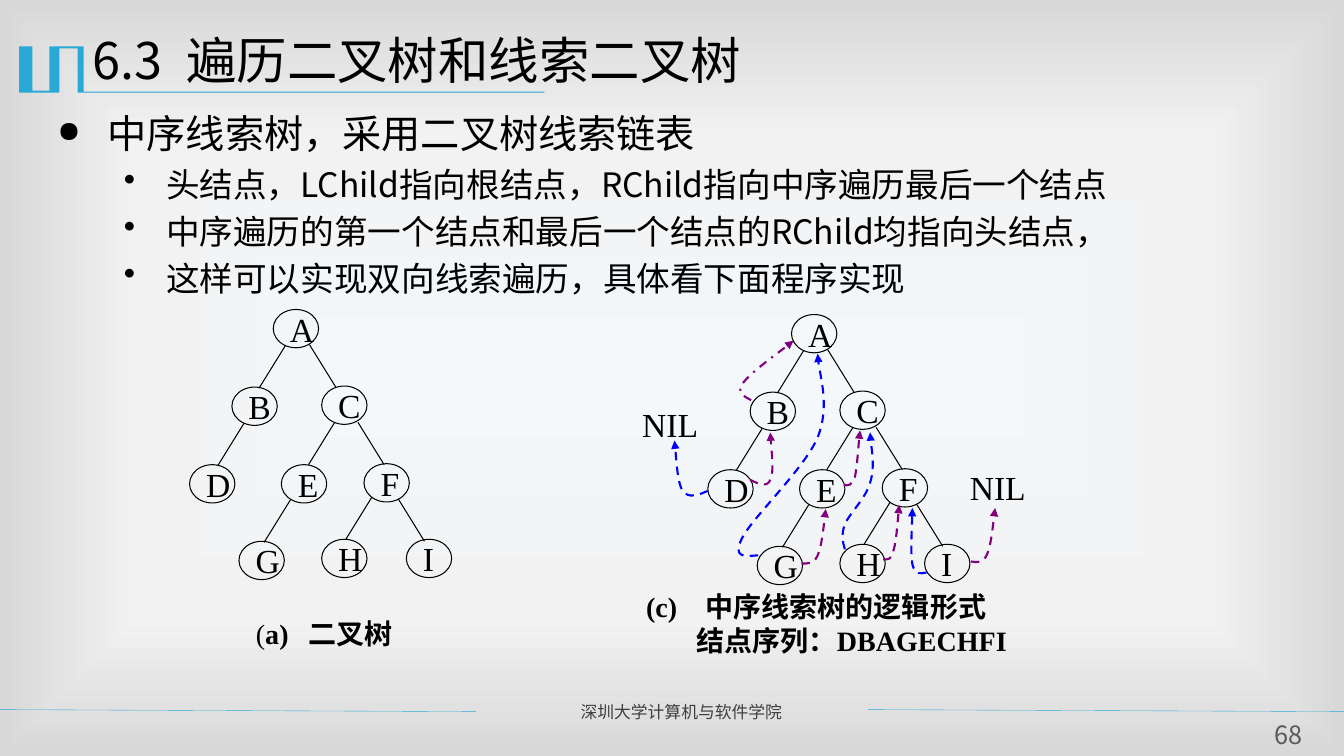
"""Build the slide on in-order threaded binary trees."""
from lxml import etree
from pptx import Presentation
from pptx import util as u
from pptx.dml.color import RGBColor
from pptx.enum import dml, shapes, text
from pptx.oxml import parse_xml
from pptx.oxml.ns import qn

PX = 9144
SANS, SERIF = "Noto Sans CJK SC", "Times New Roman"
BLACK, ACCENT, PURPLE, BLUE = "000000", "28A9D6", "800080", "0000FF"
DASH, DASH_DOT = dml.MSO_LINE.DASH, dml.MSO_LINE.DASH_DOT
ALIGN, ANCHOR = text.PP_ALIGN, text.MSO_ANCHOR

BACKDROP = [(0, "F4F8FB"), (63, "F2F2F2"), (100, "D8D8D8")]
EMBLEM = [(82, 46), (83, 46), (83, 91), (540, 91), (540, 92), (77, 92), (77, 48), (59, 48),
          (59, 92), (19, 92), (19, 46), (32, 46), (32, 90), (49, 90), (49, 46)]
FOOTER_RULES = [((0, 704), (472, 706)), ((861, 704), (1333, 706))]

TITLE = "6.3\t遍历二叉树和线索二叉树"
BODY = [
    ("●", 75, 28, 50, 50, "中序线索树，采用二叉树线索链表"),
    ("•", 100, 24, 108, 42, "头结点，LChild指向根结点，RChild指向中序遍历最后一个结点"),
    ("•", 100, 24, 108, 42, "中序遍历的第一个结点和最后一个结点的RChild均指向头结点，"),
    ("•", 100, 24, 108, 42, "这样可以实现双向线索遍历，具体看下面程序实现"),
]
FOOTER = "深圳大学计算机与软件学院"
PAGE_NUMBER = "68"

NODE_SIZE = (45, 38)
NODES = {"A": (271, 307), "B": (230, 384), "C": (319, 383), "D": (188, 461), "E": (279, 461),
         "F": (361, 460), "G": (237, 537), "H": (319, 535), "I": (403, 535)}
LEFT_EDGES = [(283, 343), (242, 420), (332, 419), (288, 496), (369, 493)]
RIGHT_EDGES = [(307, 342), (355, 419), (395, 495)]
EDGE_RUN, EDGE_DROP = 26, 42
TREE_OFFSETS = [(0, 0), (514, 5)]

NIL_PLACES = [(627, 401, 90, 39), (952, 464, 90, 39)]
THREADS = [
    (PURPLE, DASH_DOT, [(745, 397), (738, 393), (730, 390), (737, 380),
                        (744, 370), (779, 345), (787, 338)]),
    (PURPLE, DASH, [(744, 476), (752, 480), (761, 484), (764, 476),
                    (768, 468), (764, 437), (764, 429)]),
    (BLUE, DASH, [(752, 551), (739, 552), (726, 554), (736, 534), (745, 515),
                  (798, 465), (811, 434), (823, 404), (811, 365), (811, 351)]),
    (PURPLE, DASH, [(795, 559), (801, 559), (807, 560), (811, 551),
                    (815, 542), (818, 513), (819, 505)]),
    (PURPLE, DASH, [(837, 481), (841, 482), (845, 482), (848, 473),
                    (850, 464), (852, 435), (853, 427)]),
    (BLUE, DASH, [(838, 545), (836, 538), (834, 531), (838, 520), (843, 509),
                  (859, 494), (863, 479), (868, 463), (863, 437), (863, 429)]),
    (BLUE, DASH, [(702, 487), (693, 491), (683, 495), (677, 487),
                  (672, 479), (670, 445), (669, 437)]),
    (PURPLE, DASH, [(876, 555), (880, 555), (884, 556), (886, 547),
                    (889, 538), (891, 509), (892, 501)]),
    (BLUE, DASH, [(919, 568), (913, 569), (908, 571), (905, 560),
                  (903, 549), (905, 513), (905, 504)]),
    (PURPLE, DASH, [(963, 557), (969, 558), (975, 559), (979, 550),
                    (983, 541), (986, 511), (987, 504)]),
]


def color(value):
    """Turn a hex string into a colour."""
    return RGBColor.from_string(value)


def px(values):
    """Turn px lengths into EMU."""
    return [value * PX for value in values]


def assign(target, **values):
    """Set each named attribute on the target."""
    for name, value in values.items():
        setattr(target, name, value)


def stroke(shape, hue, width, dash=None):
    """Give a shape or connector its line."""
    shape.line.color.rgb = color(hue)
    assign(shape.line, width=u.Pt(width), dash_style=dash)


def add_line(page, start, end, hue, width):
    """Draw a straight line without a shadow."""
    line = page.shapes.add_connector(shapes.MSO_CONNECTOR.STRAIGHT, *px(start + end))
    stroke(line, hue, width)
    etree.SubElement(line.element.spPr, qn("a:effectLst"))


def add_outline(page, points, close):
    """Draw a freeform through the points."""
    builder = page.shapes.build_freeform(*points[0], scale=PX)
    builder.add_line_segments(points[1:], close=close)
    outline = builder.convert_to_shape()
    outline.shadow.inherit = False
    return outline


def add_thread(page, hue, dash, points):
    """Draw a dashed Bezier arrow."""
    thread = add_outline(page, points, False)
    thread.fill.background()
    stroke(thread, hue, 1.5, dash)
    segments = thread.element.xpath(".//a:lnTo")
    for first in range(0, len(segments), 3):
        curve = etree.SubElement(segments[first].getparent(), qn("a:cubicBezTo"))
        for segment in segments[first:first + 3]:
            curve.append(segment[0])
            segment.getparent().remove(segment)
    etree.SubElement(thread.element.xpath(".//a:ln")[0], qn("a:tailEnd"), type="triangle")


def write(para, words, size, face=SANS, hue=BLACK, bold=False, **layout):
    """Fill one paragraph with a single run."""
    assign(para, **layout)
    span = para.add_run()
    span.text = words
    assign(span.font, size=u.Pt(size), name=face, bold=bold)
    span.font.color.rgb = color(hue)
    etree.SubElement(span.font._element, qn("a:ea"), typeface=SANS)


def indent(para, margin, hanging=0, bullet=None, scale=100):
    """Set a paragraph's margin, hanging indent and bullet."""
    props = para._p.get_or_add_pPr()
    props.set("marL", str(margin * PX))
    props.set("indent", str(-hanging * PX))
    if bullet:
        etree.SubElement(props, qn("a:buSzPct"), val=str(scale * 1000))
        etree.SubElement(props, qn("a:buChar"), char=bullet)


def add_tab(para, place):
    """Set a left tab stop."""
    stops = etree.SubElement(para._p.get_or_add_pPr(), qn("a:tabLst"))
    etree.SubElement(stops, qn("a:tab"), pos=str(place * PX), algn="l")


def add_box(page, place, wrap=True, anchor=ANCHOR.MIDDLE, **insets):
    """Add a text box and return its text frame."""
    frame = page.shapes.add_textbox(*px(place)).text_frame
    assign(frame, word_wrap=wrap, vertical_anchor=anchor, **insets)
    return frame


def paint_backdrop(page):
    """Fill the background with a rectangular gradient."""
    stops = "".join(f'<a:gs pos="{at * 1000}"><a:srgbClr val="{hue}"/></a:gs>'
                    for at, hue in BACKDROP)
    page.element.cSld.insert(0, parse_xml(
        '<p:bg xmlns:p="http://schemas.openxmlformats.org/presentationml/2006/main" '
        'xmlns:a="http://schemas.openxmlformats.org/drawingml/2006/main"><p:bgPr>'
        f'<a:gradFill rotWithShape="1"><a:gsLst>{stops}</a:gsLst><a:path path="rect">'
        '<a:fillToRect l="50000" t="50000" r="50000" b="50000"/></a:path></a:gradFill>'
        '<a:effectLst/></p:bgPr></p:bg>'))


def add_tree(page, dx, dy):
    """Draw the nodes and edges of one tree."""
    for name, (x, y) in NODES.items():
        node = page.shapes.add_shape(shapes.MSO_SHAPE.OVAL, *px((x + dx, y + dy) + NODE_SIZE))
        node.shadow.inherit = False
        node.fill.background()
        stroke(node, BLACK, 0.75)
        assign(node.text_frame, word_wrap=False, vertical_anchor=ANCHOR.MIDDLE)
        write(node.text_frame.paragraphs[0], name, 24, SERIF, alignment=ALIGN.LEFT)
    for starts, run in ((LEFT_EDGES, -EDGE_RUN), (RIGHT_EDGES, EDGE_RUN)):
        for x, y in starts:
            start = (x + dx, y + dy)
            add_line(page, start, (start[0] + run, start[1] + EDGE_DROP), BLACK, 0.75)


def add_texts(page):
    """Write the title, bullets, captions and footer."""
    title = add_box(page, (82, 24, 1200, 87), anchor=ANCHOR.TOP).paragraphs[0]
    add_tab(title, 93)
    write(title, TITLE, 36)
    body = add_box(page, (47, 104, 1213, 563), anchor=ANCHOR.TOP)
    for row, (bullet, scale, size, margin, hanging, words) in enumerate(BODY):
        para = body.add_paragraph() if row else body.paragraphs[0]
        indent(para, margin, hanging, bullet, scale)
        write(para, words, size, space_before=u.Pt(4.8 if row else 0))
    footer = add_box(page, (566, 691, 285, 30))
    write(footer.paragraphs[0], FOOTER, 12, hue="3F3F3F")
    number = add_box(page, (1248, 713, 59, 31), margin_left=0, margin_right=0,
                     margin_top=0, margin_bottom=0)
    write(number.paragraphs[0], PAGE_NUMBER, 18, hue="595959", alignment=ALIGN.CENTER)
    plain = add_box(page, (244, 609, 160, 39), wrap=False).paragraphs[0]
    add_tab(plain, 52)
    write(plain, "(", 20, SERIF)
    write(plain, "a)\t二叉树", 20, SERIF, bold=True)
    threaded = add_box(page, (631, 587, 385, 63), wrap=False)
    add_tab(threaded.paragraphs[0], 59)
    write(threaded.paragraphs[0], "(c)\t中序线索树的逻辑形式", 20, SERIF, bold=True)
    sequence = threaded.add_paragraph()
    indent(sequence, 50)
    write(sequence, "结点序列：DBAGECHFI", 20, SERIF, bold=True)
    for place in NIL_PLACES:
        write(add_box(page, place, wrap=False).paragraphs[0], "NIL", 24, SERIF)


def main():
    """Assemble and save the deck."""
    deck = Presentation()
    assign(deck, slide_width=1333 * PX, slide_height=750 * PX)
    page = deck.slides.add_slide(deck.slide_layouts[6])
    paint_backdrop(page)
    emblem = add_outline(page, EMBLEM, True)
    emblem.fill.solid()
    emblem.fill.fore_color.rgb = color(ACCENT)
    emblem.line.fill.background()
    for start, end in FOOTER_RULES:
        add_line(page, start, end, ACCENT, 0.25)
    add_texts(page)
    for offset in TREE_OFFSETS:
        add_tree(page, *offset)
    for thread in THREADS:
        add_thread(page, *thread)
    deck.save("out.pptx")


if __name__ == "__main__":
    main()
